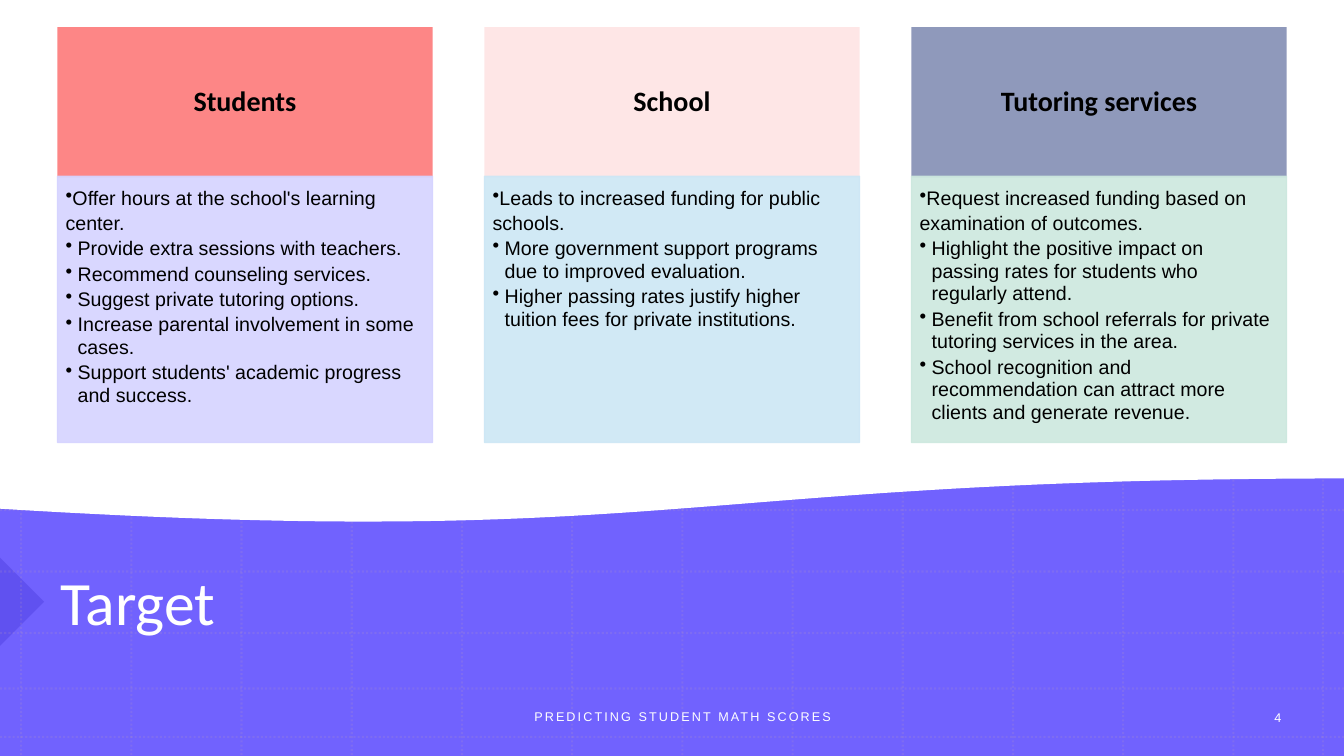
from lxml.etree import SubElement
from pptx import Presentation
from pptx.dml.color import RGBColor
from pptx.enum.dml import MSO_LINE
from pptx.enum.shapes import MSO_CONNECTOR, MSO_SHAPE
from pptx.enum.text import MSO_ANCHOR, PP_ALIGN
from pptx.oxml.ns import qn
from pptx.util import Inches, Pt

TITLE = "Target"
FOOTER = "PREDICTING STUDENT MATH SCORES"
PAGE_NUMBER = "4"
GROUPS = [
    ("Students", ("FD8686", 100), "D5D3FF", [
        "Offer hours at the school's learning center.",
        "Provide extra sessions with teachers.",
        "Recommend counseling services.",
        "Suggest private tutoring options.",
        "Increase parental involvement in some cases.",
        "Support students' academic progress and success.",
    ]),
    ("School", ("FD8686", 20), "CDE7F5", [
        "Leads to increased funding for public schools.",
        "More government support programs due to improved evaluation.",
        "Higher passing rates justify higher tuition fees for private institutions.",
    ]),
    ("Tutoring services", ("8F99BB", 100), "CCE8DE", [
        "Request increased funding based on examination of outcomes.",
        "Highlight the positive impact on passing rates for students who regularly attend.",
        "Benefit from school referrals for private tutoring services in the area.",
        "School recognition and recommendation can attract more clients and generate revenue.",
    ]),
]
THEME = {
    "violet": "7162FE", "arrow": "1201AF", "grid": "B495C2",
    "white": "FFFFFF", "black": "000000",
    "heading_font": "Calibri", "body_font": "Arial",
    "title": 44, "heading": 20, "body": 14, "footer": 9,
}
WIDTH, HEIGHT = 13.33, 7.5
COLUMN_LEFT, COLUMN_STEP, COLUMN_WIDTH = 0.57, 4.235, 3.72
HEADER_TOP, HEADER_HEIGHT = 0.27, 1.49
BODY_TOP, BODY_HEIGHT = 1.75, 2.64
HANGING = 0.12
GRID_COLUMNS = [0.21 + 1.093 * i for i in range(12)] + [13.12]
GRID_ROWS = [5.06 + 0.61 * i for i in range(3)] + [6.83, 7.31]
WAVE_CURVE = [(13.35, 4.74), (6.7, 4.74), (6.66, 5.45), (0, 5.04)]
WAVE_STEPS = 60

deck = Presentation()
deck.slide_width, deck.slide_height = Inches(WIDTH), Inches(HEIGHT)
page = deck.slides.add_slide(deck.slide_layouts[6])


def paint(part, color, opacity=100):
    part.solid()
    part.fore_color.rgb = RGBColor.from_string(color)
    if opacity < 100:
        tone = part._xPr.find(qn("a:solidFill"))[0]
        SubElement(tone, qn("a:alpha")).set("val", str(opacity * 1000))


def style_shape(shape, color, opacity=100, outlined=False):
    shape.shadow.inherit = False
    paint(shape.fill, color, opacity)
    if outlined:
        paint(shape.line.fill, color, opacity)
        shape.line.width = Pt(1)
    else:
        shape.line.fill.background()
    return shape


def add_block(kind, at, color, opacity=100, outlined=False):
    shape = page.shapes.add_shape(kind, *map(Inches, at))
    return style_shape(shape, color, opacity, outlined)


def set_frame(shape, anchor, insets=(0.1, 0.05, 0.1, 0.05)):
    frame = shape.text_frame
    frame.word_wrap = True
    frame.vertical_anchor = anchor
    frame.margin_left, frame.margin_top, frame.margin_right, frame.margin_bottom = map(Inches, insets)
    return frame


def write(para, text, size, font, color, align=PP_ALIGN.LEFT, bold=False, spacing=None):
    span = para.add_run()
    span.text = text
    para.alignment = align
    para.font.size = Pt(THEME[size])
    para.font.name = THEME[font]
    para.font.bold = bold
    para.font.color.rgb = RGBColor.from_string(THEME[color])
    if spacing:
        span.font._element.set("spc", str(spacing))


def add_text(at, anchor, *words, **options):
    box = page.shapes.add_textbox(*map(Inches, at))
    write(set_frame(box, anchor).paragraphs[0], *words, **options)


def add_grid_line(*ends):
    line = page.shapes.add_connector(MSO_CONNECTOR.STRAIGHT, *map(Inches, ends))
    paint(line.line.fill, THEME["grid"], 20)
    line.line.width = Pt(1.5)
    line.line.dash_style = MSO_LINE.ROUND_DOT
    SubElement(line._element.spPr, qn("a:effectLst"))


def curve_point(t):
    weights = ((1 - t) ** 3, 3 * t * (1 - t) ** 2, 3 * t ** 2 * (1 - t), t ** 3)
    return tuple(Inches(sum(w * point[axis] for w, point in zip(weights, WAVE_CURVE)))
                 for axis in (0, 1))


def add_wave():
    builder = page.shapes.build_freeform(Inches(0), Inches(-0.03))
    edge = [curve_point(i / WAVE_STEPS) for i in range(WAVE_STEPS + 1)]
    builder.add_line_segments([(Inches(13.35), Inches(-0.03))] + edge, close=True)
    style_shape(builder.convert_to_shape(), THEME["white"], outlined=True)


def add_bullets(frame, items):
    for index, item in enumerate(items):
        para = frame.paragraphs[0] if index == 0 else frame.add_paragraph()
        write(para, item, "body", "body_font", "black")
        para.line_spacing = 0.96 if index else 1.07
        para.space_after = Pt(2)
        props = para._p.get_or_add_pPr()
        props.set("marL", str(Inches(HANGING if index else 0)))
        props.set("indent", str(-Inches(HANGING)))
        bullet = props.makeelement(qn("a:buChar"), {"char": "•"})
        props.find(qn("a:defRPr")).addprevious(bullet)


def add_group(index, name, header_fill, body_color, items):
    left = COLUMN_LEFT + COLUMN_STEP * index
    header = add_block(MSO_SHAPE.RECTANGLE, (left, HEADER_TOP, COLUMN_WIDTH, HEADER_HEIGHT), *header_fill)
    frame = set_frame(header, MSO_ANCHOR.MIDDLE, (0.16, 0.09, 0.16, 0.09))
    write(frame.paragraphs[0], name, "heading", "heading_font", "black", PP_ALIGN.CENTER, bold=True)
    frame.paragraphs[0].line_spacing = 0.9
    body = add_block(MSO_SHAPE.RECTANGLE, (left, BODY_TOP, COLUMN_WIDTH, BODY_HEIGHT), body_color, 90, True)
    add_bullets(set_frame(body, MSO_ANCHOR.TOP, (0.08, 0.08, 0.11, 0.12)), items)


add_block(MSO_SHAPE.RECTANGLE, (0, 0, WIDTH, HEIGHT), THEME["violet"])
arrow = add_block(MSO_SHAPE.RIGHT_TRIANGLE, (-0.31, 5.66, 0.62, 0.62), THEME["arrow"], 17)
arrow.rotation = 225
for x in GRID_COLUMNS:
    add_grid_line(x, 0, x, HEIGHT)
for y in GRID_ROWS:
    add_grid_line(0, y, WIDTH, y)
add_wave()

add_text((0.5, 5.09, 11.75, 1.74), MSO_ANCHOR.MIDDLE, TITLE, "title", "heading_font", "white")
for text, at in ((FOOTER, (4.59, 6.91, 4.36, 0.4)), (PAGE_NUMBER, (12.24, 6.92, 0.87, 0.4))):
    add_text(at, MSO_ANCHOR.MIDDLE, text, "footer", "body_font", "white",
             align=PP_ALIGN.CENTER, spacing=150)
for index, group in enumerate(GROUPS):
    add_group(index, *group)

deck.save("out.pptx")
